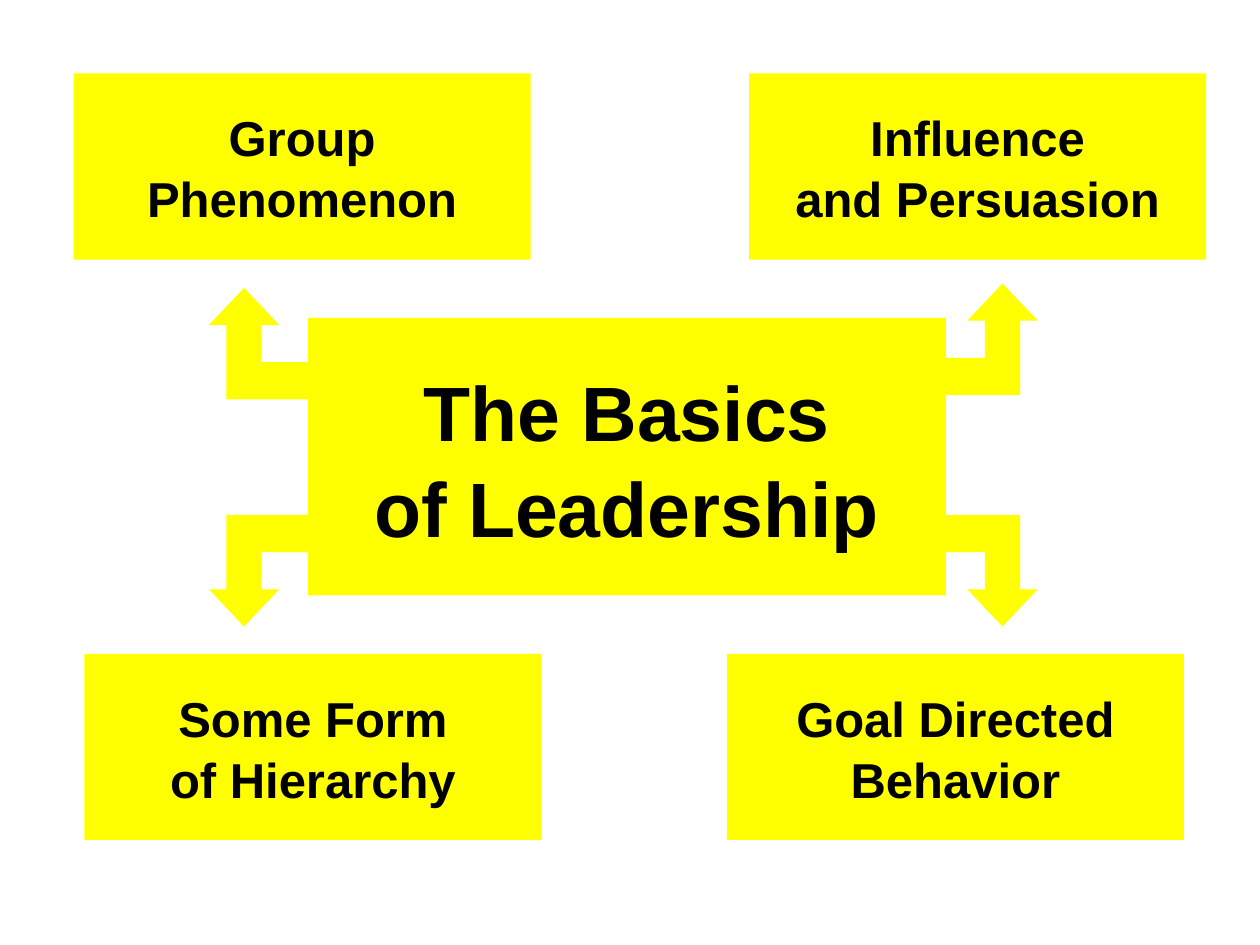
from dataclasses import dataclass

from pptx import Presentation
from pptx.dml.color import RGBColor
from pptx.enum.shapes import MSO_SHAPE
from pptx.enum.text import MSO_ANCHOR, MSO_AUTO_SIZE, PP_ALIGN
from pptx.util import Pt


@dataclass(frozen=True)
class Theme:
    fill: RGBColor = RGBColor(0xFF, 0xFF, 0x00)
    text: RGBColor = RGBColor(0x00, 0x00, 0x00)
    font: str = "Arial"
    title_size: int = 44
    topic_size: int = 28
    line_spacing: float = 1.04


THEME = Theme()

TITLE = ["The Basics", "of Leadership"]
TITLE_FRAME = (176, 181.7, 364.5, 158.6)

# Lines of text, left, top
TOPICS = [
    (["Goal Directed", "Behavior"], 415.3, 373.6),
    (["Influence", "and Persuasion"], 428, 42),
    (["Some Form", "of Hierarchy"], 48.2, 373.6),
    (["Group", "Phenomenon"], 42, 42),
]
TOPIC_SIZE = (261.2, 106.4)

# Outer x, tip y, direction towards the hub in x, direction away from the tip in y
ARROWS = [
    (119.4, 164.5, 1, 1),
    (119.4, 358, 1, -1),
    (593, 358, -1, -1),
    (593, 162, -1, 1),
]
# Bent arrow on a grid of 7 by 3 steps, from its tip round to its other barb
ARROW_OUTLINE = [(2, 0), (4, 1), (3, 1), (3, 2), (7, 2), (7, 3), (1, 3), (1, 1), (0, 1)]
ARROW_STEP = (10.05, 21.25)


def paint(shape):
    shape.fill.solid()
    shape.fill.fore_color.rgb = THEME.fill
    shape.line.fill.background()


def write_lines(shape, lines, size):
    frame = shape.text_frame
    frame.auto_size = MSO_AUTO_SIZE.NONE
    frame.word_wrap = False
    frame.vertical_anchor = MSO_ANCHOR.MIDDLE
    for index, line in enumerate(lines):
        para = frame.add_paragraph() if index else frame.paragraphs[0]
        para.alignment = PP_ALIGN.CENTER
        para.line_spacing = THEME.line_spacing
        span = para.add_run()
        span.text = line
        span.font.name = THEME.font
        span.font.size = Pt(size)
        span.font.bold = True
        span.font.color.rgb = THEME.text


def add_arrow(page, outer, tip, inward, away):
    points = [
        (Pt(outer + inward * column * ARROW_STEP[0]), Pt(tip + away * row * ARROW_STEP[1]))
        for column, row in ARROW_OUTLINE
    ]
    builder = page.shapes.build_freeform(*points[0])
    builder.add_line_segments(points[1:], close=True)
    arrow = builder.convert_to_shape()
    arrow.shadow.inherit = False
    paint(arrow)


def add_topic(page, lines, left, top):
    box = page.shapes.add_shape(
        MSO_SHAPE.RECTANGLE, Pt(left), Pt(top), *map(Pt, TOPIC_SIZE)
    )
    box.shadow.inherit = False
    paint(box)
    write_lines(box, lines, THEME.topic_size)


def main():
    deck = Presentation()
    deck.slide_width, deck.slide_height = Pt(720), Pt(540)
    page = deck.slides.add_slide(deck.slide_layouts[5])

    title = page.shapes.title
    title.left, title.top, title.width, title.height = map(Pt, TITLE_FRAME)
    paint(title)
    write_lines(title, TITLE, THEME.title_size)

    for arrow in ARROWS:
        add_arrow(page, *arrow)
    for topic in TOPICS:
        add_topic(page, *topic)

    deck.save("out.pptx")


if __name__ == "__main__":
    main()
